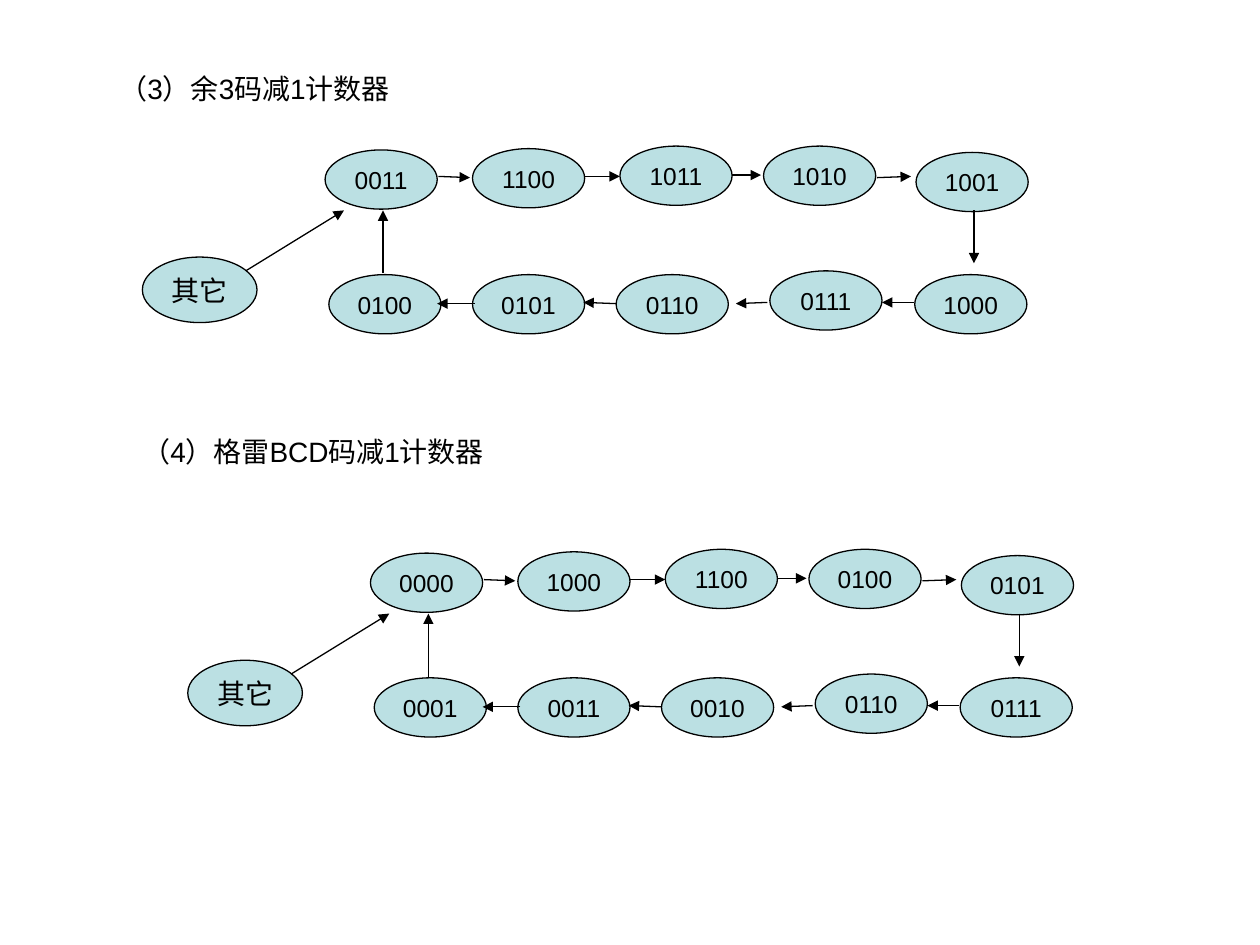
from lxml import etree
from pptx import Presentation
from pptx.dml.color import RGBColor
from pptx.enum import shapes, text
from pptx.oxml.ns import qn
from pptx.util import Inches, Pt

BLACK = RGBColor(0x00, 0x00, 0x00)
TEAL = RGBColor(0xBB, 0xE0, 0xE3)

# Content: title, title box, alignment, offset of the diagram, states in counting order
COUNTERS = [
    ("（3）余3码减1计数器", (0.85, 0.52, 7.05, 0.37), text.PP_ALIGN.LEFT, (0, 0),
     ["0011", "1100", "1011", "1010", "1001", "1000", "0111", "0110", "0101", "0100"]),
    ("（4）格雷BCD码减1计数器", (1, 3.4, 2.97, 0.64), text.PP_ALIGN.CENTER, (0.36, 3.2),
     ["0000", "1000", "1100", "0100", "0101", "0111", "0110", "0010", "0011", "0001"]),
]
OTHER = "其它"

# Diagram layout, shared by both counters
STATE_SIZE = (0.89, 0.47)
OTHER_BOX = (1.13, 2.04, 0.91, 0.52)
STATE_POSITIONS = [
    (2.58, 1.19), (3.75, 1.18), (4.92, 1.16), (6.06, 1.16), (7.27, 1.21),
    (7.26, 2.18), (6.11, 2.15), (4.89, 2.18), (3.75, 2.18), (2.61, 2.18),
]
ARROWS = [
    (3.48, 1.4, 3.73, 1.41), (4.64, 1.4, 4.92, 1.4), (5.81, 1.39, 6.04, 1.39),
    (6.96, 1.41, 7.23, 1.4), (7.73, 1.67, 7.73, 2.09), (7.25, 2.4, 7, 2.4),
    (6.09, 2.4, 5.84, 2.41), (4.89, 2.41, 4.63, 2.4), (3.77, 2.41, 3.47, 2.41),
    (3.04, 2.17, 3.04, 1.67), (1.95, 2.15, 2.73, 1.67),
]


def write(sp, words, size, align, wrap):
    tf = sp.text_frame
    tf.word_wrap = wrap
    p = tf.paragraphs[0]
    p.alignment = align
    r = p.add_run()
    r.text = words
    for name, value in {"name": "Arial", "size": Pt(size)}.items():
        setattr(r.font, name, value)
    r.font.color.rgb = BLACK


def outline(sp):
    sp.line.color.rgb = BLACK
    sp.line.width = Pt(0.75)


def add_state(group, box, words, size):
    sp = group.shapes.add_shape(shapes.MSO_SHAPE.OVAL, *map(Inches, box))
    sp.shadow.inherit = False
    sp.fill.solid()
    sp.fill.fore_color.rgb = TEAL
    outline(sp)
    sp.text_frame.vertical_anchor = text.MSO_ANCHOR.MIDDLE
    write(sp, words, size, text.PP_ALIGN.CENTER, False)


def add_arrow(group, ends):
    line = group.shapes.add_connector(shapes.MSO_CONNECTOR.STRAIGHT, *map(Inches, ends))
    outline(line)
    etree.SubElement(line.line._get_or_add_ln(), qn("a:tailEnd"), type="triangle")
    etree.SubElement(line._element.spPr, qn("a:effectLst"))


prs = Presentation()
prs.slide_width, prs.slide_height = Inches(10), Inches(7.5)
s = prs.slides.add_slide(prs.slide_layouts[6])

for title, title_box, align, (dx, dy), states in COUNTERS:
    # Title
    write(s.shapes.add_textbox(*map(Inches, title_box)), title, 16, align, True)

    # State diagram
    group = s.shapes.add_group_shape()
    for words, (x, y) in zip(states, STATE_POSITIONS):
        add_state(group, (x + dx, y + dy, *STATE_SIZE), words, 14)
    x, y, w, h = OTHER_BOX
    add_state(group, (x + dx, y + dy, w, h), OTHER, 16)
    for x1, y1, x2, y2 in ARROWS:
        add_arrow(group, (x1 + dx, y1 + dy, x2 + dx, y2 + dy))

prs.save("out.pptx")
